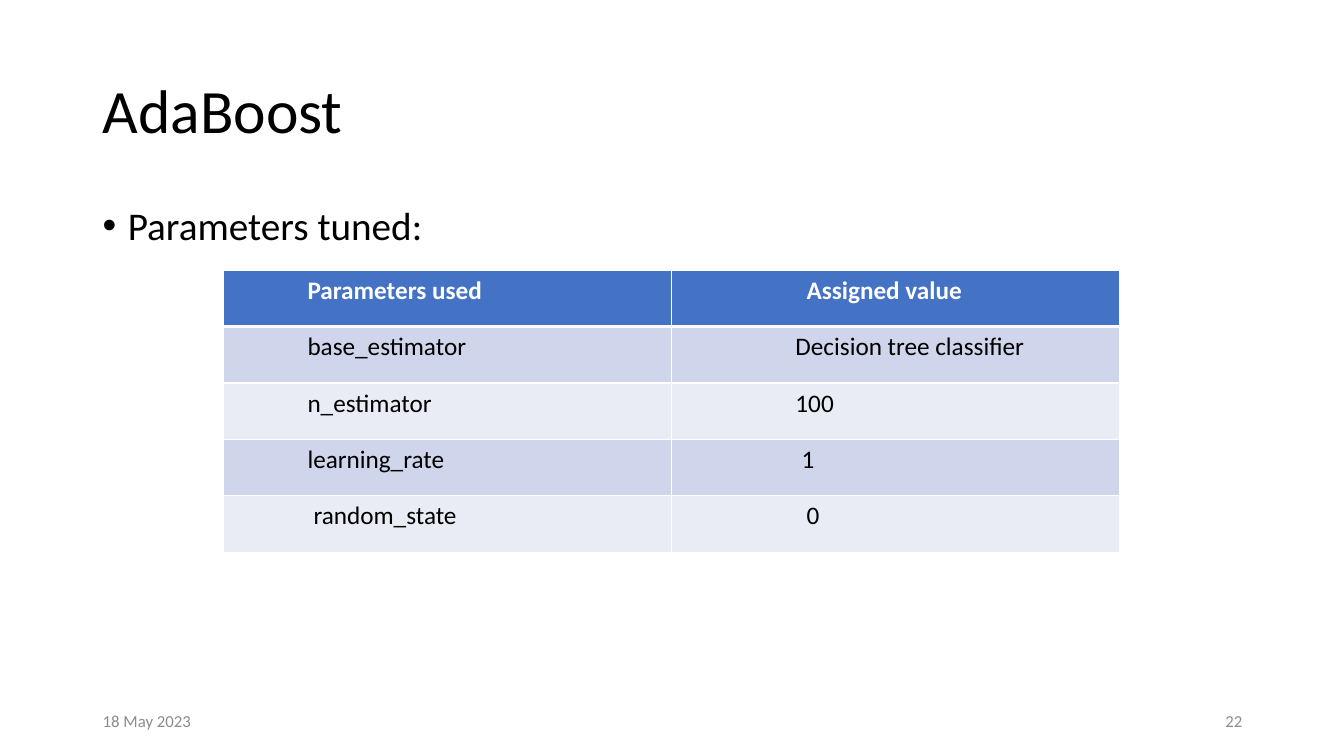
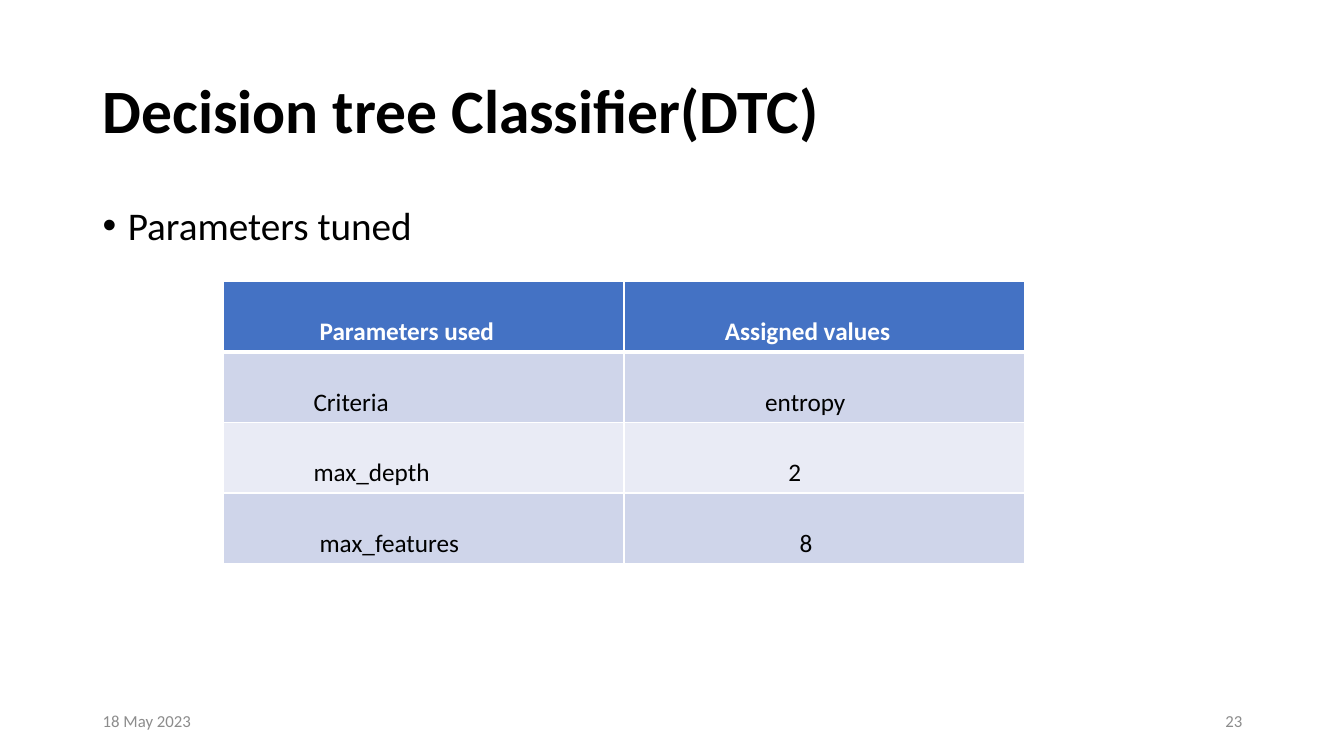
"""Build two slides that list the tuned parameters of two classifiers."""
from lxml import etree
from pptx import Presentation
from pptx.dml.color import RGBColor
from pptx.enum.text import MSO_ANCHOR, PP_ALIGN
from pptx.oxml.ns import qn
from pptx.util import Inches, Pt

COLORS = {
    "ink": "000000",
    "white": "FFFFFF",
    "muted": "8C8C8C",
    "header": "4472C4",
    "odd": "CFD5EA",
    "even": "E9EBF5",
}
FONT = "Calibri"
DATE = "18 May 2023"
FIRST_NUMBER = 22
LEFT, WIDTH = 0.92, 11.5
FOOTER_TOP, FOOTER_WIDTH, FOOTER_HEIGHT = 6.95, 3, 0.4
TABLE_LEFT = 2.22
HEADER_RULE, RULE = 3, 1

TITLE = {"size": 44, "color": "ink", "line_spacing": 0.9}
BULLET = {"size": 28, "color": "ink", "line_spacing": 0.9, "space_before": Pt(10)}
FOOTER = {"size": 12, "color": "muted"}
HEADER_CELL = {"size": 18, "color": "white", "bold": True}
BODY_CELL = {"size": 18, "color": "ink"}

# Each table cell is its text and its left indent in inches.
SLIDES = [
    {
        "title": "AdaBoost",
        "bold": False,
        "bullet": "Parameters tuned:",
        "top": 2.68,
        "column": 4.44,
        "row": 0.56,
        "inset": 0.05,
        "cells": [
            [("Parameters used", 0.83), ("Assigned value", 1.34)],
            [("base_estimator", 0.83), ("Decision tree classifier", 1.23)],
            [("n_estimator", 0.83), ("100", 1.23)],
            [("learning_rate", 0.83), ("1", 1.29)],
            [("random_state", 0.89), ("0", 1.34)],
        ],
    },
    {
        "title": "Decision tree Classifier(DTC)",
        "bold": True,
        "bullet": "Parameters tuned",
        "top": 2.79,
        "column": 3.97,
        "row": 0.7,
        "inset": 0.35,
        "cells": [
            [("Parameters used", 0.95), ("Assigned values", 1.0)],
            [("Criteria", 0.89), ("entropy", 1.4)],
            [("max_depth", 0.89), ("2", 1.63)],
            [("max_features", 0.95), ("8", 1.74)],
        ],
    },
]


def write(frame, content, style):
    """Put one styled paragraph in a text frame and return it."""
    para = frame.paragraphs[0]
    span = para.add_run()
    span.text = content
    span.font.name = FONT
    for name, value in style.items():
        if name == "size":
            span.font.size = Pt(value)
        elif name == "color":
            span.font.color.rgb = RGBColor.from_string(COLORS[value])
        elif name == "bold":
            span.font.bold = value
        else:
            setattr(para, name, value)
    return para


def add_text(page, place, content, style, anchor=MSO_ANCHOR.MIDDLE):
    """Add a wrapping text box and return its paragraph."""
    frame = page.shapes.add_textbox(*map(Inches, place)).text_frame
    frame.word_wrap = True
    frame.vertical_anchor = anchor
    return write(frame, content, style)


def add_bullet(para):
    """Give a paragraph a hanging round bullet."""
    props = para._p.get_or_add_pPr()
    props.set("marL", str(Inches(0.25)))
    props.set("indent", str(-Inches(0.25)))
    etree.SubElement(props, qn("a:buFont")).set("typeface", "Arial")
    etree.SubElement(props, qn("a:buChar")).set("char", "•")


def add_borders(cell, row):
    """Draw white rules round a cell, thicker under the header row."""
    widths = {
        "lnL": RULE,
        "lnR": RULE,
        "lnT": HEADER_RULE if row == 1 else RULE,
        "lnB": HEADER_RULE if row == 0 else RULE,
    }
    props = cell._tc.get_or_add_tcPr()
    for side, width in widths.items():
        line = etree.SubElement(props, qn(f"a:{side}"), w=str(Pt(width)))
        fill = etree.SubElement(line, qn("a:solidFill"))
        etree.SubElement(fill, qn("a:srgbClr"), val=COLORS["white"])


def add_parameters(page, content):
    """Add the table of parameters and values."""
    cells = content["cells"]
    rows, columns = len(cells), len(cells[0])
    place = (TABLE_LEFT, content["top"],
             columns * content["column"], rows * content["row"])
    table = page.shapes.add_table(rows, columns, *map(Inches, place)).table
    for row, entries in enumerate(cells):
        fill = "header" if row == 0 else ("even", "odd")[row % 2]
        style = BODY_CELL if row else HEADER_CELL
        for column, (label, indent) in enumerate(entries):
            cell = table.cell(row, column)
            cell.margin_left = Inches(indent)
            cell.margin_top = Inches(content["inset"])
            add_borders(cell, row)
            cell.fill.solid()
            cell.fill.fore_color.rgb = RGBColor.from_string(COLORS[fill])
            write(cell.text_frame, label, style)


def add_page(deck, number, content):
    """Add one slide with title, bullet, table and footer."""
    page = deck.slides.add_slide(deck.slide_layouts[6])
    add_text(page, (LEFT, 0.4, WIDTH, 1.45), content["title"],
             {**TITLE, "bold": content["bold"]})
    add_bullet(add_text(page, (LEFT, 2, WIDTH, 0.6), content["bullet"],
                        BULLET, MSO_ANCHOR.TOP))
    add_parameters(page, content)
    footers = [
        (LEFT, DATE, PP_ALIGN.LEFT),
        (LEFT + WIDTH - FOOTER_WIDTH, str(number), PP_ALIGN.RIGHT),
    ]
    for left, label, alignment in footers:
        add_text(page, (left, FOOTER_TOP, FOOTER_WIDTH, FOOTER_HEIGHT), label,
                 {**FOOTER, "alignment": alignment})


def main():
    """Build and save the deck."""
    deck = Presentation()
    deck.slide_width, deck.slide_height = Inches(13.33), Inches(7.5)
    for number, content in enumerate(SLIDES, FIRST_NUMBER):
        add_page(deck, number, content)
    deck.save("out.pptx")


if __name__ == "__main__":
    main()
